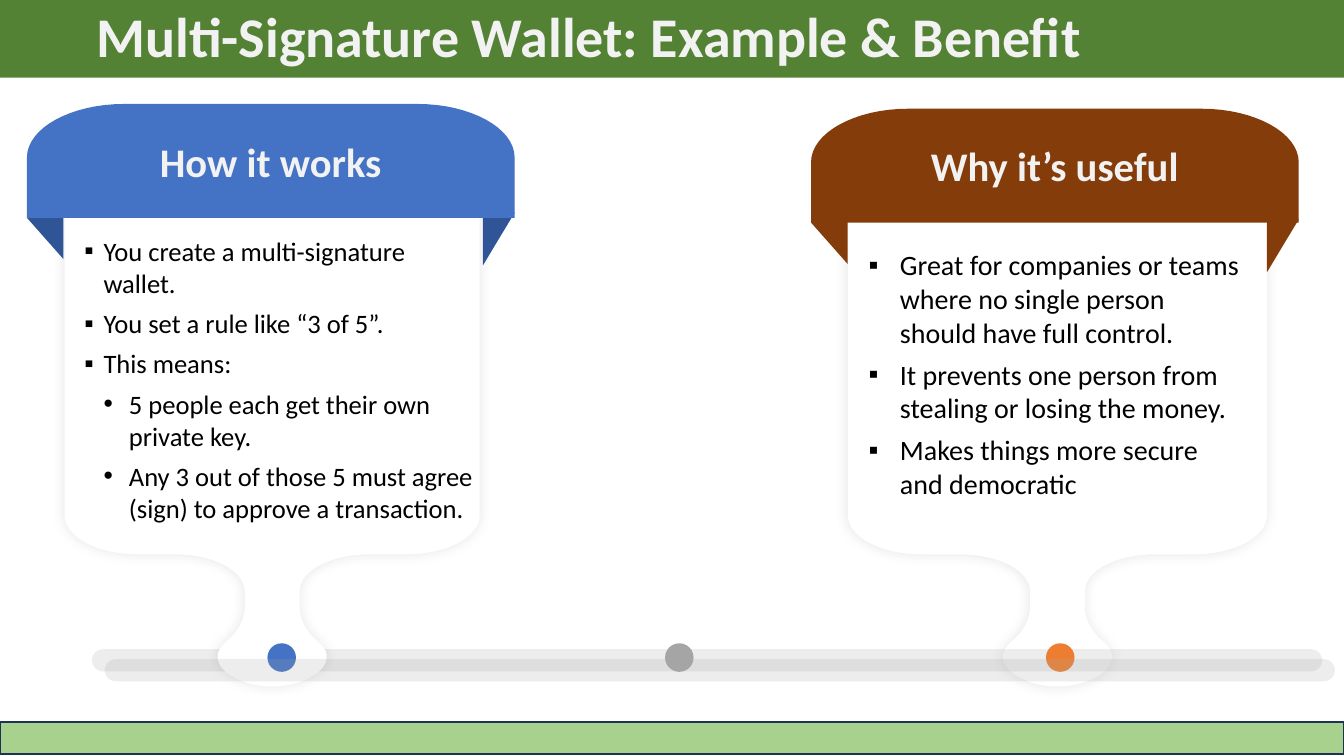
from lxml import etree
from pptx import Presentation
from pptx.dml.color import RGBColor
from pptx.enum.shapes import MSO_SHAPE
from pptx.enum.text import MSO_ANCHOR, PP_ALIGN
from pptx.oxml.ns import qn
from pptx.util import Cm, Pt

RECTANGLE = MSO_SHAPE.RECTANGLE
ROUNDED = MSO_SHAPE.ROUNDED_RECTANGLE
OVAL = MSO_SHAPE.OVAL
MIDDLE = MSO_ANCHOR.MIDDLE
TOP = MSO_ANCHOR.TOP
CENTER = PP_ALIGN.CENTER
LEFT = PP_ALIGN.LEFT

SLIDE_WIDTH, SLIDE_HEIGHT = 33.87, 19.05
CURVE_STEPS = 16
BANNER_WIDTH, BANNER_HEIGHT = 12.29, 2.87
BANNER_CURVE_WIDTH, BANNER_CURVE_HEIGHT = 2.46, 1.35
CIRCLE_PULL = 0.55
DOT_SIZE = 0.72

TITLE_FORMAT = {"name": "Calibri", "size": Pt(40), "bold": True}
BANNER_FORMAT = {"name": "Calibri", "size": Pt(29), "bold": True}
STEPS_FORMAT = {"name": "Calibri", "size": Pt(19), "bold": False}
BENEFITS_FORMAT = {"name": "Calibri", "size": Pt(20), "bold": False}

STEP = ("▪", 0.48, 0.48)
DETAIL = ("•", 1.12, 0.64)
BENEFIT = ("▪", 0.79, 0.79)

STEPS = [
    ("You create a multi-signature wallet.", STEP),
    ("You set a rule like “3 of 5”.", STEP),
    ("This means:", STEP),
    ("5 people each get their own private key.", DETAIL),
    ("Any 3 out of those 5 must agree (sign) to approve a transaction.", DETAIL),
]
BENEFITS = [
    ("Great for companies or teams where no single person should have full control.", BENEFIT),
    ("It prevents one person from stealing or losing the money.", BENEFIT),
    ("Makes things more secure and democratic", BENEFIT),
]


def color(value):
    return RGBColor.from_string(value)


def paint(shape, fill, alpha=None):
    shape.shadow.inherit = False
    shape.fill.solid()
    shape.fill.fore_color.rgb = color(fill)
    shape.line.fill.background()
    if alpha is not None:
        set_alpha(shape._element.spPr.find(".//" + qn("a:srgbClr")), alpha)
    return shape


def set_alpha(color_element, percent):
    etree.SubElement(color_element, qn("a:alpha"), val=str(percent * 1000))


def add_soft_shadow(shape):
    effects = shape._element.spPr.find(qn("a:effectLst"))
    shadow = etree.SubElement(effects, qn("a:outerShdw"), blurRad=str(Pt(10)), dist="0", dir="0")
    set_alpha(etree.SubElement(shadow, qn("a:srgbClr"), val="000000"), 10)


def add_preset(page, kind, left, top, width, height, fill, alpha=None):
    shape = page.shapes.add_shape(kind, Cm(left), Cm(top), Cm(width), Cm(height))
    if kind == ROUNDED:
        shape.adjustments[0] = 0.5
    return paint(shape, fill, alpha)


def curve(start, first, second, end):
    points = []
    for step in range(1, CURVE_STEPS + 1):
        t = step / CURVE_STEPS
        weights = ((1 - t) ** 3, 3 * t * (1 - t) ** 2, 3 * t * t * (1 - t), t ** 3)
        corners = (start, first, second, end)
        points.append(tuple(
            sum(weight * corner[axis] for weight, corner in zip(weights, corners))
            for axis in (0, 1)
        ))
    return points


def mirrored(center, half):
    left_side = [(center - x, y) for x, y in half]
    right_side = [(center + x, y) for x, y in reversed(half)]
    return left_side + right_side


def add_outline(page, points, fill):
    corners = [(Cm(x), Cm(y)) for x, y in points]
    builder = page.shapes.build_freeform(*corners[0])
    builder.add_line_segments(corners[1:], close=True)
    return paint(builder.convert_to_shape(), fill)


def add_card(page, center, half_width):
    half = [(half_width, 3.31), (half_width, 12.98)]
    half += curve(half[-1], (half_width, 13.54), (half_width - 0.84, 13.97), (half_width - 1.85, 13.97))
    half.append((2.46, 13.97))
    half += curve(half[-1], (1.47, 13.97), (0.69, 14.38), (0.69, 14.91))
    half.append((0.69, 15.27))
    half += curve(half[-1], (0.69, 15.6), (0.84, 15.9), (1.17, 16.18))
    half += curve(half[-1], (1.57, 16.51), (1.37, 16.94), (0.74, 17.17))
    half += curve(half[-1], (0.5, 17.26), (0.25, 17.3), (0, 17.3))
    add_soft_shadow(add_outline(page, mirrored(center, half), "FFFFFF"))


def add_banner(page, left, top, label, fill, flap_fill, tip_shift):
    right, bottom = left + BANNER_WIDTH, top + BANNER_HEIGHT
    tip = bottom + tip_shift
    add_outline(page, [(left, bottom), (left + 0.92, bottom + 1.04), (left + 0.92, bottom - 0.86)], flap_fill)
    add_outline(page, [(right, tip), (right - 0.8, tip + 1.33), (right - 0.8, tip - 1.3)], flap_fill)

    half_width = BANNER_WIDTH / 2
    inner = half_width - BANNER_CURVE_WIDTH
    shoulder = top + BANNER_CURVE_HEIGHT
    half = [(half_width, bottom), (half_width, shoulder)]
    half += curve(
        half[-1],
        (half_width, shoulder - CIRCLE_PULL * BANNER_CURVE_HEIGHT),
        (inner + CIRCLE_PULL * BANNER_CURVE_WIDTH, top),
        (inner, top),
    )
    banner = add_outline(page, mirrored(left + half_width, half), fill)
    banner.text_frame.vertical_anchor = MIDDLE
    write(banner.text_frame.paragraphs[0], label, BANNER_FORMAT, "F2F2F2", CENTER)


def write(para, text, text_format, text_color, alignment):
    para.alignment = alignment
    span = para.add_run()
    span.text = text
    for name, value in text_format.items():
        setattr(span.font, name, value)
    span.font.color.rgb = color(text_color)


def set_bullet(para, mark, margin, hanging):
    properties = para._p.get_or_add_pPr()
    properties.set("marL", str(Cm(margin)))
    properties.set("indent", str(-Cm(hanging)))
    etree.SubElement(properties, qn("a:buFont"), typeface="Arial")
    etree.SubElement(properties, qn("a:buChar"), char=mark)


def add_text_box(page, left, top, width, height):
    box = page.shapes.add_textbox(Cm(left), Cm(top), Cm(width), Cm(height))
    box.text_frame.word_wrap = True
    box.text_frame.vertical_anchor = TOP
    return box.text_frame


def add_bullet_list(page, left, top, width, height, items, text_format):
    frame = add_text_box(page, left, top, width, height)
    for index, (text, bullet) in enumerate(items):
        para = frame.add_paragraph() if index else frame.paragraphs[0]
        set_bullet(para, *bullet)
        para.space_after = Pt(6)
        write(para, text, text_format, "000000", LEFT)


def main():
    deck = Presentation()
    deck.slide_width, deck.slide_height = Cm(SLIDE_WIDTH), Cm(SLIDE_HEIGHT)
    page = deck.slides.add_slide(deck.slide_layouts[6])

    add_card(page, 26.65, 5.28)
    add_preset(page, RECTANGLE, 0, 0, SLIDE_WIDTH, 1.96, "548235")
    title = add_text_box(page, 0.51, -0.08, 28.65, 1.96)
    write(title.paragraphs[0], "Multi-Signature Wallet: Example & Benefit", TITLE_FORMAT, "F2F2F2", CENTER)
    footer = add_preset(page, RECTANGLE, 0, 18.19, SLIDE_WIDTH, 0.81, "A9D18E")
    footer.line.color.rgb = color("1E3256")
    footer.line.width = Pt(1)

    add_preset(page, ROUNDED, 2.32, 16.36, 31, 0.56, "A6A6A6", 20)
    add_card(page, 6.86, 5.23)
    for left, fill in ((6.74, "4472C4"), (26.36, "ED7D31"), (16.76, "A5A5A5")):
        add_preset(page, OVAL, left, 16.21, DOT_SIZE, DOT_SIZE, fill)

    add_bullet_list(page, 1.88, 5.79, 10.46, 7.62, STEPS, STEPS_FORMAT)
    add_banner(page, 0.68, 2.62, "How it works", "4472C4", "2F5597", -0.13)
    add_banner(page, 20.44, 2.74, "Why it’s useful", "843C0B", "843C0B", -0.08)
    add_preset(page, ROUNDED, 2.64, 16.61, 31, 0.56, "A6A6A6", 20)
    add_bullet_list(page, 21.64, 6.12, 9.98, 6.68, BENEFITS, BENEFITS_FORMAT)

    deck.save("out.pptx")


if __name__ == "__main__":
    main()
